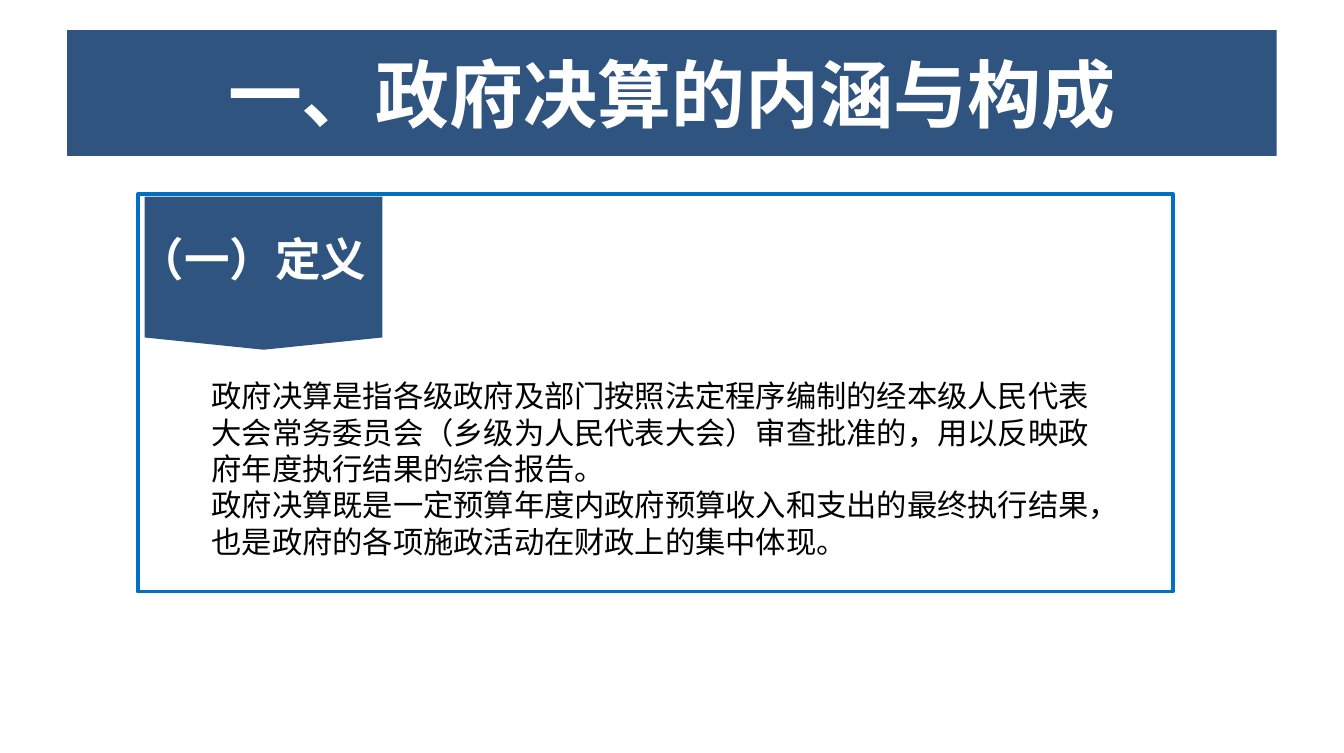
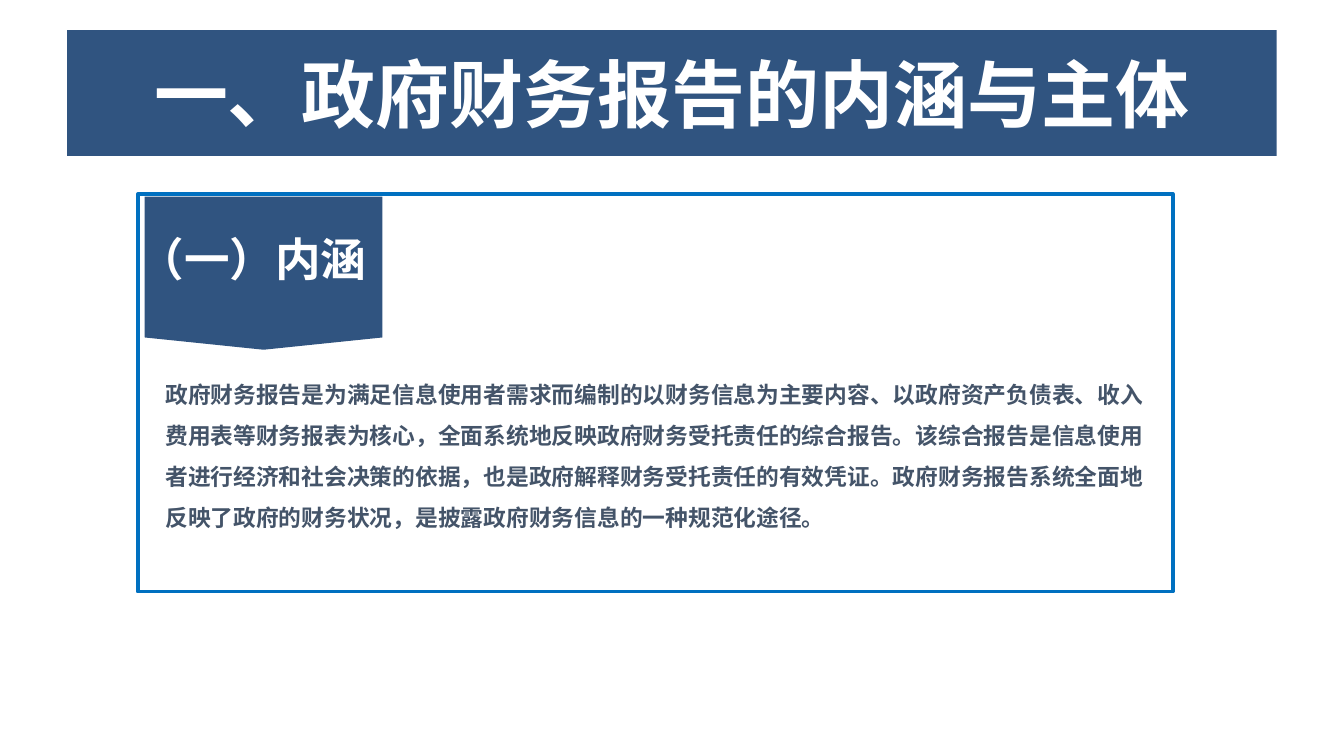
from lxml import etree
from pptx import Presentation
from pptx import util as u
from pptx.dml.color import RGBColor
from pptx.enum import shapes, text
from pptx.oxml.ns import qn

COLORS = {"navy": "305480", "blue": "0070C0", "white": "FFFFFF",
          "black": "000000", "slate": "445469"}
CHINESE_FONT = "Noto Sans CJK SC"

# Left, top, width and height as percentages of the slide
TITLE_BAND = (5, 4, 90, 16.7)
PANEL = (10.26, 25.77, 77, 52.8)
BADGE = (13.92, 20.5, 11.38, 31.58)  # before its quarter turn
BADGE_LABEL = (7.62, 29.95, 22.36, 8.7)

SLIDES = [
    {"title": "一、政府决算的内涵与构成",
     "label": "（一）定义",
     "body": "政府决算是指各级政府及部门按照法定程序编制的经本级人民代表大会常务委员会"
             "（乡级为人民代表大会）审查批准的，用以反映政府年度执行结果的综合报告。\n"
             "政府决算既是一定预算年度内政府预算收入和支出的最终执行结果，"
             "也是政府的各项施政活动在财政上的集中体现。",
     "box": (15.75, 50.1, 66.1, 24.5),
     "style": {"size": 16, "font": "Calibri", "color": "black", "pitch": 19.2}},
    {"title": "一、政府财务报告的内涵与主体",
     "label": "（一）内涵",
     "body": "政府财务报告是为满足信息使用者需求而编制的以财务信息为主要内容、"
             "以政府资产负债表、收入费用表等财务报表为核心，"
             "全面系统地反映政府财务受托责任的综合报告。"
             "该综合报告是信息使用者进行经济和社会决策的依据，"
             "也是政府解释财务受托责任的有效凭证。"
             "政府财务报告系统全面地反映了政府的财务状况，"
             "是披露政府财务信息的一种规范化途径。",
     "box": (12.3, 48.7, 73.2, 22),
     "style": {"size": 12, "font": "Arial", "color": "slate", "bold": True,
               "pitch": 21.6}},
]

presentation = Presentation()
presentation.slide_width = u.Inches(9.84)
presentation.slide_height = u.Inches(5.51)


def add_block(slide, box, kind=None, fill=None, line=None):
    """Add a preset shape, or a text box when no kind is given."""
    sides = (presentation.slide_width, presentation.slide_height) * 2
    place = [round(side * share / 100) for side, share in zip(sides, box)]
    if kind is None:
        return slide.shapes.add_textbox(*place)
    shape = slide.shapes.add_shape(kind, *place)
    shape.shadow.inherit = False
    shape.fill.solid()
    shape.fill.fore_color.rgb = RGBColor.from_string(COLORS[fill])
    if line:
        shape.line.color.rgb = RGBColor.from_string(COLORS[line])
        shape.line.width = u.Pt(2)
    else:
        shape.line.fill.background()
    return shape


def write(shape, words, size, font, color="white", bold=False, pitch=None):
    """Write body text at a fixed line pitch, or a centred heading without one."""
    frame = shape.text_frame
    frame.text = words
    frame.word_wrap = True
    frame.margin_left = frame.margin_right = 0
    frame.margin_top = frame.margin_bottom = 0
    frame.vertical_anchor = text.MSO_ANCHOR.TOP if pitch else text.MSO_ANCHOR.MIDDLE
    for paragraph in frame.paragraphs:
        paragraph.alignment = text.PP_ALIGN.LEFT if pitch else text.PP_ALIGN.CENTER
        if pitch:
            paragraph.line_spacing = u.Pt(pitch)
        for run in paragraph.runs:
            run.font.size = u.Pt(size)
            run.font.bold = bold
            run.font.name = font
            run.font.color.rgb = RGBColor.from_string(COLORS[color])
            properties = run.font._element
            properties.set("lang", "zh-CN")
            etree.SubElement(properties, qn("a:ea")).set("typeface", CHINESE_FONT)


for content in SLIDES:
    slide = presentation.slides.add_slide(presentation.slide_layouts[6])
    add_block(slide, PANEL, shapes.MSO_SHAPE.RECTANGLE, "white", "blue")

    badge = add_block(slide, BADGE, shapes.MSO_SHAPE.PENTAGON, "navy")
    badge.rotation = 90
    badge.adjustments[0] = 0.08
    write(add_block(slide, BADGE_LABEL), content["label"], 24, "Arial", bold=True)

    write(add_block(slide, content["box"]), content["body"], **content["style"])

    title = add_block(slide, TITLE_BAND, shapes.MSO_SHAPE.RECTANGLE, "navy")
    write(title, content["title"], 39, "Calibri", bold=True)

presentation.save("out.pptx")
